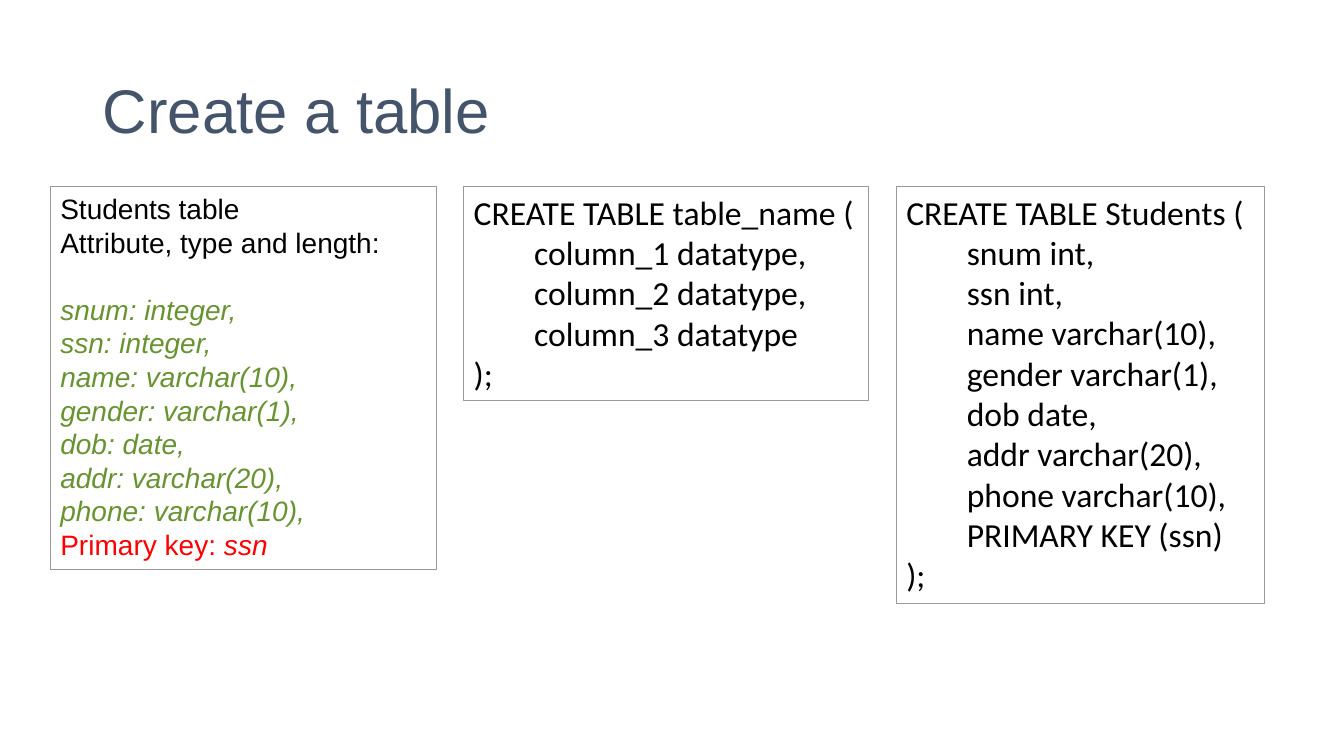
"""Build the slide that explains how to create a table in SQL."""
from dataclasses import dataclass

from pptx import Presentation
from pptx.dml.color import RGBColor
from pptx.enum.shapes import MSO_SHAPE
from pptx.enum.text import MSO_ANCHOR, PP_ALIGN
from pptx.util import Inches, Pt

RECTANGLE = MSO_SHAPE.RECTANGLE
TOP, MIDDLE = MSO_ANCHOR.TOP, MSO_ANCHOR.MIDDLE
LEFT = PP_ALIGN.LEFT

COLORS = {
    "title": "44546A",
    "text": "000000",
    "attribute": "689331",
    "key": "FF0000",
    "border": "999999",
    "box": "FFFFFF",
}
BOX_TOP = 1.85
CODE_INDENT = 0.6
LINE_PITCH = 24


@dataclass
class Span:
    text: str
    color: str = "text"
    italic: bool = False


@dataclass
class Line:
    spans: list[Span]
    indent: float = 0
    before: float = 0
    pitch: float | None = None


@dataclass
class Box:
    left: float
    width: float
    height: float
    font: str
    size: float
    lines: list[Line]


def code_lines(table: str, columns: list[str]) -> list[Line]:
    """Return the lines of a CREATE TABLE statement."""
    body = [Line([Span(column)], CODE_INDENT) for column in columns]
    return [Line([Span(f"CREATE TABLE {table} (")]), *body, Line([Span(");")])]


def schema_lines(headings: list[str], attributes: list[str], key: str) -> list[Line]:
    """Return the headings, the attributes and the primary key of a table."""
    lines = [Line([Span(heading)]) for heading in headings]
    lines += [Line([Span(attribute, "attribute", True)]) for attribute in attributes]
    lines.append(Line([Span("Primary key: ", "key"), Span(key, "key", True)]))
    lines[len(headings)].before = LINE_PITCH
    for line in lines:
        line.pitch = LINE_PITCH
    return lines


def format_font(font, name: str, size: float, color: str) -> None:
    """Set the typeface, size and colour of a font."""
    font.name = name
    font.size = Pt(size)
    font.color.rgb = RGBColor.from_string(COLORS[color])


def add_title(slide, text: str) -> None:
    """Place and fill the title."""
    sp = slide.shapes.title
    sp.left, sp.top = Inches(0.92), Inches(0.4)
    sp.width, sp.height = Inches(11.5), Inches(1.45)
    tf = sp.text_frame
    tf.text = text
    tf.vertical_anchor = MIDDLE
    p = tf.paragraphs[0]
    p.alignment = LEFT
    p.line_spacing = 0.9
    format_font(p.runs[0].font, "Arial", 44, "title")


def add_box(slide, box: Box) -> None:
    """Draw a bordered box with its lines of text."""
    sp = slide.shapes.add_shape(RECTANGLE, Inches(box.left), Inches(BOX_TOP),
                                Inches(box.width), Inches(box.height))
    sp.shadow.inherit = False
    sp.fill.solid()
    sp.fill.fore_color.rgb = RGBColor.from_string(COLORS["box"])
    sp.line.color.rgb = RGBColor.from_string(COLORS["border"])
    sp.line.width = Pt(0.75)
    tf = sp.text_frame
    tf.word_wrap = True
    tf.vertical_anchor = TOP
    for i, line in enumerate(box.lines):
        p = tf.add_paragraph() if i else tf.paragraphs[0]
        p.alignment = LEFT
        p.space_before = Pt(line.before)
        if line.pitch:
            p.line_spacing = Pt(line.pitch)
        if line.indent:
            p._p.get_or_add_pPr().set("marL", str(Inches(line.indent)))
        for span in line.spans:
            r = p.add_run()
            r.text = span.text
            format_font(r.font, box.font, box.size, span.color)
            r.font.italic = span.italic


BOXES = [
    Box(0.5, 3.83, 3.8, "Arial", 20, schema_lines(
        ["Students table", "Attribute, type and length:"],
        ["snum: integer,", "ssn: integer,", "name: varchar(10),", "gender: varchar(1),",
         "dob: date,", "addr: varchar(20),", "phone: varchar(10),"],
        "ssn")),
    Box(4.6, 4.01, 2.12, "Calibri", 24, code_lines(
        "table_name",
        ["column_1 datatype,", "column_2 datatype,", "column_3 datatype"])),
    Box(8.89, 3.65, 4.14, "Calibri", 24, code_lines(
        "Students",
        ["snum int,", "ssn int,", "name varchar(10),", "gender varchar(1),", "dob date,",
         "addr varchar(20),", "phone varchar(10),", "PRIMARY KEY (ssn)"])),
]


def main() -> None:
    """Build and save the presentation."""
    prs = Presentation()
    prs.slide_width, prs.slide_height = Inches(13.33), Inches(7.5)
    slide = prs.slides.add_slide(prs.slide_layouts[5])
    add_title(slide, "Create a table")
    for box in BOXES:
        add_box(slide, box)
    prs.save("out.pptx")


if __name__ == "__main__":
    main()
